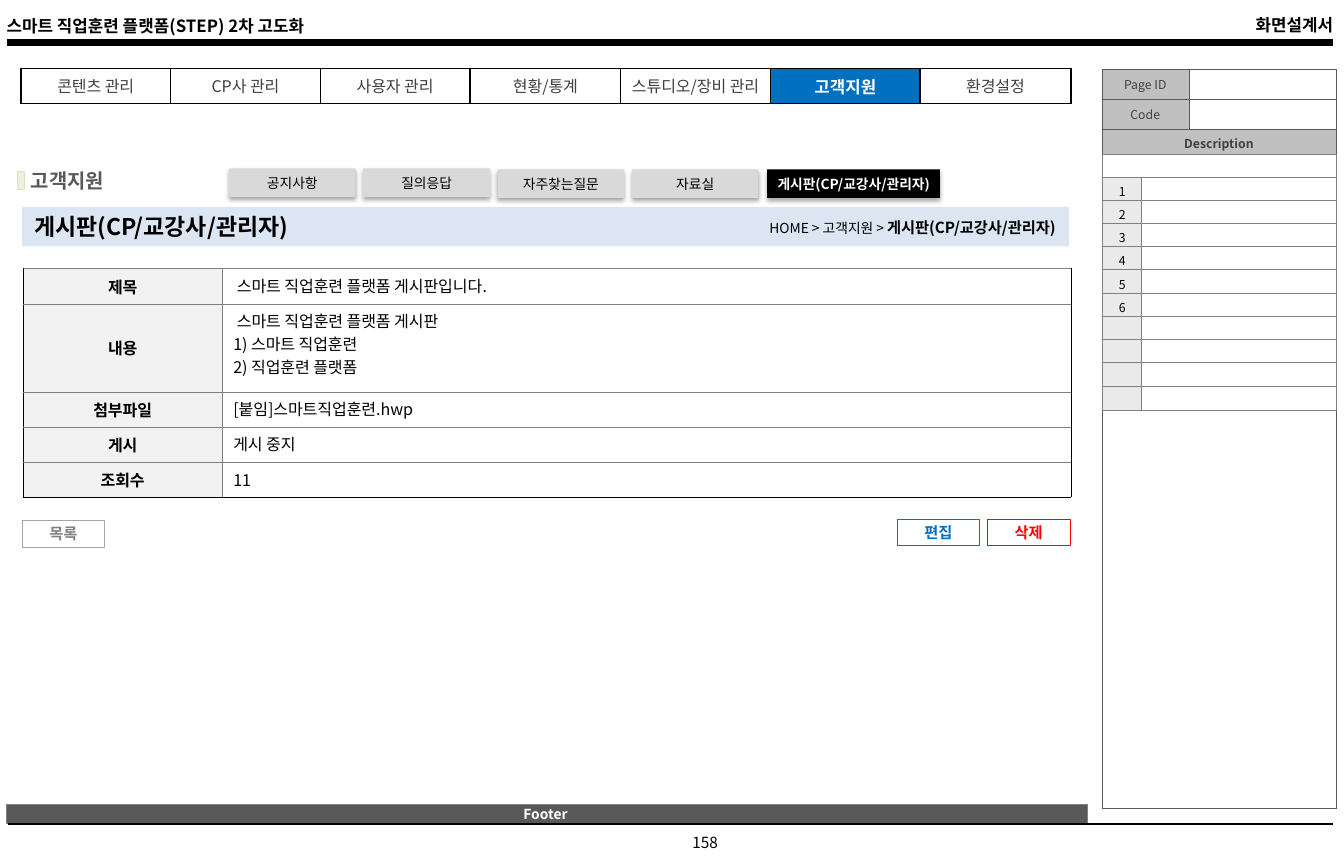
"""Build the bulletin board detail screen of the training platform design document."""
from lxml import etree
from pptx import Presentation
from pptx.dml.color import RGBColor
from pptx.enum.shapes import MSO_CONNECTOR, MSO_SHAPE
from pptx.enum.text import MSO_ANCHOR, PP_ALIGN
from pptx.oxml import parse_xml
from pptx.oxml.ns import nsdecls, qn
from pptx.util import Pt

PX = 9144
FONT = "Noto Sans CJK KR"
LEFT, CENTER, RIGHT = PP_ALIGN.LEFT, PP_ALIGN.CENTER, PP_ALIGN.RIGHT
TOP, MIDDLE = MSO_ANCHOR.TOP, MSO_ANCHOR.MIDDLE
RECT, STRAIGHT = MSO_SHAPE.RECTANGLE, MSO_CONNECTOR.STRAIGHT

BLACK = RGBColor(0x00, 0x00, 0x00)
WHITE = RGBColor(0xFF, 0xFF, 0xFF)
INK = RGBColor(0x40, 0x40, 0x40)
DARK = RGBColor(0x59, 0x59, 0x59)
GRAY = RGBColor(0x80, 0x80, 0x80)
MID = RGBColor(0xA6, 0xA6, 0xA6)
SILVER = RGBColor(0xC0, 0xC0, 0xC0)
TAB = RGBColor(0xD9, 0xD9, 0xD9)
NUMBER = RGBColor(0xEA, 0xEA, 0xEA)
LABEL = RGBColor(0xF2, 0xF2, 0xF2)
BLUE = RGBColor(0x00, 0x70, 0xC0)
RED = RGBColor(0xFF, 0x00, 0x00)
PALE_BLUE = RGBColor(0xDC, 0xE6, 0xF2)
PALE_GREEN = RGBColor(0xEB, 0xF1, 0xDE)
GREEN = RGBColor(0xD7, 0xE4, 0xBD)

BOARD = "게시판(CP/교강사/관리자)"
SHADOW = (
    f'<a:effectLst {nsdecls("a")}><a:outerShdw blurRad="39370" dist="22860" dir="5400000" '
    'rotWithShape="0"><a:srgbClr val="000000"><a:alpha val="35000"/></a:srgbClr>'
    '</a:outerShdw></a:effectLst>'
)


def write(tf, paragraphs, align):
    """Write paragraphs, each a list of (text, size, colour, bold) runs."""
    for i, runs in enumerate(paragraphs):
        p = tf.add_paragraph() if i else tf.paragraphs[0]
        p.alignment = align
        for text, size, color, bold in runs:
            r = p.add_run()
            r.text = text
            r.font.name = FONT
            r.font.size = Pt(size)
            r.font.bold = bold
            r.font.color.rgb = color
            etree.SubElement(r.font._element, qn("a:ea"), typeface=FONT)


def add_grid(x, y, widths, heights, rows, margins, inner, outer, weight):
    """Add a table of (lines, size, colour, bold, align, fill) cells."""
    table = s.shapes.add_table(len(heights), len(widths), x * PX, y * PX,
                               sum(widths) * PX, sum(heights) * PX).table
    table.first_row = table.horz_banding = False
    for column, width in zip(table.columns, widths):
        column.width = width * PX
    for i, (height, row) in enumerate(zip(heights, rows)):
        table.rows[i].height = height * PX
        for j, (lines, size, color, bold, align, fill) in enumerate(row):
            cell = table.cell(i, j)
            cell.vertical_anchor = MIDDLE
            cell.margin_left = cell.margin_right = margins[0] * PX
            cell.margin_top, cell.margin_bottom = margins[1] * PX, margins[2] * PX
            if fill is None:
                cell.fill.background()
            else:
                cell.fill.solid()
                cell.fill.fore_color.rgb = fill
            write(cell.text_frame, [[(line, size, color, bold)] for line in lines], align)
            if not lines:
                p = cell.text_frame.paragraphs[0]
                etree.SubElement(p._p, qn("a:endParaRPr"), sz=str(size * 100))
            edges = {"L": j == 0, "R": j == len(widths) - 1, "T": False,
                     "B": i == len(heights) - 1}
            for k, (side, is_outer) in enumerate(edges.items()):
                cell._tc.get_or_add_tcPr().insert(k, parse_xml(
                    f'<a:ln{side} {nsdecls("a")} w="{Pt(weight)}"><a:solidFill>'
                    f'<a:srgbClr val="{outer if is_outer else inner}"/></a:solidFill></a:ln{side}>'))
    return table


prs = Presentation()
prs.slide_width, prs.slide_height = 1221 * PX, 788 * PX
s = prs.slides.add_slide(prs.slide_layouts[6])

empty = ([], 8, BLACK, False, LEFT, None)
page_rows = [[([name], 8, INK, False, CENTER, SILVER), empty] for name in ("Page ID", "Code")]
page_rows += [[(["Description"], 8, INK, True, CENTER, SILVER), empty], [empty, empty]]
page_info = add_grid(1001, 63, [79, 134], [27, 27, 27, 591], page_rows, (11, 5, 5), DARK, DARK, 0.25)
for i in (2, 3):
    page_info.cell(i, 0).merge(page_info.cell(i, 1))

menu = ["콘텐츠 관리", "CP사 관리", "사용자 관리", "현황/통계", "스튜디오/장비 관리", "고객지원", "환경설정"]
menu_row = [([name], 11, WHITE, True, CENTER, BLUE) if name == "고객지원"
            else ([name], 10.5, INK, False, CENTER, None) for name in menu]
menu_widths = [954 * (i + 1) // 7 - 954 * i // 7 for i in range(7)]
add_grid(19, 62, menu_widths, [32], [menu_row], (4, 5, 5), BLACK, BLACK, 1)

blank = ([], 8, BLACK, False, LEFT, WHITE)
note_rows = [[blank, blank]]
for n in range(1, 11):
    note_rows.append([([str(n)] if n <= 6 else [], 8, BLACK, False, CENTER, NUMBER), blank])
note_heights = [233 * (i + 1) // 11 - 233 * i // 11 for i in range(11)]
notes = add_grid(1002, 140, [35, 177], note_heights, note_rows, (11, 4, 0), GRAY, GRAY, 0.75)
notes.cell(0, 0).merge(notes.cell(0, 1))

post = [
    ("제목", [" 스마트 직업훈련 플랫폼 게시판입니다."]),
    ("내용", [" 스마트 직업훈련 플랫폼 게시판", "1) 스마트 직업훈련", "2) 직업훈련 플랫폼"]),
    ("첨부파일", ["[붙임]스마트직업훈련.hwp"]),
    ("게시", ["게시 중지"]),
    ("조회수", ["11"]),
]
post_rows = [[([label], 10.5, BLACK, True, CENTER, LABEL), (lines, 10.5, BLACK, False, LEFT, None)]
             for label, lines in post]
post_table = add_grid(21, 244, [181, 771], [32, 80, 32, 32, 32], post_rows, (10, 5, 5),
                      GRAY, BLACK, 0.25)
for i in range(len(post)):
    post_table.cell(i, 1).vertical_anchor = TOP

boxes = [
    (20, 188, 951, 36, PALE_BLUE, None, 0, LEFT, 11, False, [(BOARD, 15, BLACK, True)]),
    (16, 156, 6, 16, PALE_GREEN, GREEN, 0.75, LEFT, 0, False, []),
    (815, 472, 75, 24, None, BLUE, 0.25, CENTER, 0, False, [("편집", 10, BLUE, True)]),
    (897, 472, 75, 24, None, RED, 0.25, CENTER, 0, False, [("삭제", 10, RED, True)]),
    (20, 473, 75, 24, None, MID, 0.25, CENTER, 0, False, [("목록", 10, GRAY, True)]),
    (6, 731, 982, 17, DARK, GRAY, 0.25, CENTER, 0, False, [("Footer ", 9, WHITE, True)]),
]
for i, name in enumerate(["공지사항", "질의응답", "자주찾는질문", "자료실", BOARD]):
    active = name == BOARD
    boxes.append((208 + 489 * i // 4, 153 if i < 2 else 154, 157 if active else 115, 26,
                  BLACK if active else TAB, None, 0, CENTER, 0, True,
                  [(name, 9, WHITE if active else BLACK, active)]))
for x, y, w, h, fill, line, weight, align, inset, raised, runs in boxes:
    sp = s.shapes.add_shape(RECT, x * PX, y * PX, w * PX, h * PX)
    sp.shadow.inherit = False
    if fill is None:
        sp.fill.background()
    else:
        sp.fill.solid()
        sp.fill.fore_color.rgb = fill
    if line is None:
        sp.line.fill.background()
    else:
        sp.line.color.rgb = line
        sp.line.width = Pt(weight)
    tf = sp.text_frame
    tf.word_wrap = False
    tf.vertical_anchor = MIDDLE
    tf.margin_left = tf.margin_right = inset * PX
    tf.margin_top = tf.margin_bottom = 0
    write(tf, [runs], align)
    if raised:
        spPr = sp._element.spPr
        spPr.replace(spPr.find(qn("a:effectLst")), parse_xml(SHADOW))

texts = [
    (0, 9, 507, 29, LEFT, 6, [("스마트 직업훈련 플랫폼(STEP) 2차 고도화", 11, BLACK, True)]),
    (710, 8, 511, 29, RIGHT, 10, [("화면설계서", 11, BLACK, True)]),
    (583, 752, 115, 27, CENTER, 10, [("158", 10, BLACK, False)]),
    (17, 148, 158, 33, LEFT, 11, [("고객지원", 13, DARK, True)]),
    (642, 193, 328, 28, RIGHT, 11, [("HOME > 고객지원 > ", 9, BLACK, False), (BOARD, 10, BLACK, True)]),
]
for x, y, w, h, align, inset, runs in texts:
    tf = s.shapes.add_textbox(x * PX, y * PX, w * PX, h * PX).text_frame
    tf.word_wrap = True
    tf.vertical_anchor = MIDDLE
    tf.margin_left = tf.margin_right = inset * PX
    write(tf, [runs], align)

for x, y, weight in ((6, 39, 4.5), (7, 749, 1)):
    rule = s.shapes.add_connector(STRAIGHT, x * PX, y * PX, 1211 * PX, y * PX)
    rule.line.color.rgb = BLACK
    rule.line.width = Pt(weight)
    etree.SubElement(rule._element.spPr, qn("a:effectLst"))

prs.save("out.pptx")
